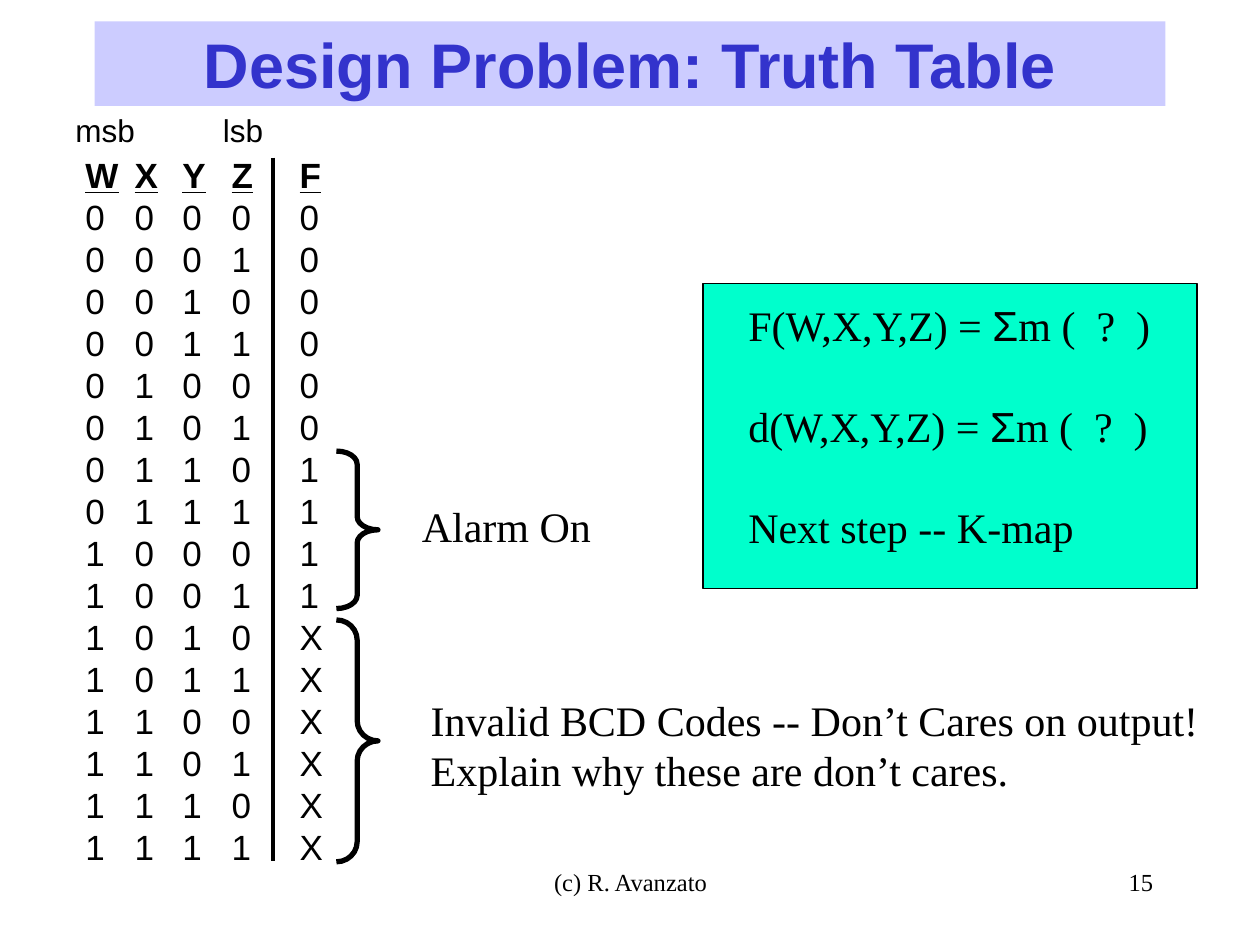
from lxml import etree
from pptx import Presentation
from pptx.dml.color import RGBColor
from pptx.enum import shapes, text
from pptx.oxml import ns
from pptx.util import Inches, Pt

BLACK = RGBColor(0x00, 0x00, 0x00)
BLUE = RGBColor(0x33, 0x33, 0xCC)
LAVENDER = RGBColor(0xCC, 0xCC, 0xFF)
AQUA = RGBColor(0x00, 0xFF, 0xCC)
SANS, SERIF = "Arial", "Times New Roman"
LEFT, CENTER, RIGHT = (text.PP_ALIGN.LEFT, text.PP_ALIGN.CENTER,
                       text.PP_ALIGN.RIGHT)

TITLE = "Design Problem: Truth Table"
VARIABLES = "WXYZ"
OUTPUTS = "0000001111XXXXXX"  # F for codes 0 to 15
COLUMN_STOPS = [0.39, 0.77, 1.16, 1.7]
TABLE_BOX = (0.58, 1.17, 2.16, 5.77)

# box, size, font, alignment, lines
LABELS = [
    ((3.42, 6.83, 3.17, 0.5), 14, SERIF, CENTER, ["(c) R. Avanzato"]),
    ((7.17, 6.83, 2.08, 0.5), 14, SERIF, RIGHT, ["15"]),
    ((0.5, 0.83, 0.67, 0.4), 18, SANS, LEFT, ["msb"]),
    ((1.67, 0.83, 0.52, 0.4), 18, SANS, LEFT, ["lsb"]),
    ((3.25, 3.92, 1.54, 0.5), 24, SERIF, LEFT, ["Alarm On"]),
    ((3.32, 5.46, 6.3, 0.9), 24, SERIF, LEFT,
     ["Invalid BCD Codes -- Don’t Cares on output!",
      "Explain why these are don’t cares."]),
]
EQUATIONS = [
    [("F(W,X,Y,Z) = ", SERIF), ("Σ", SANS), ("m (  ?  )", SERIF)],
    [("d(W,X,Y,Z) = ", SERIF), ("Σ", SANS), ("m (  ?  )", SERIF)],
    [("Next step -- K-map", SERIF)],
]
EQUATION_PANEL = (5.58, 2.25, 3.92, 2.42)
EQUATION_BOX = (5.84, 2.33, 3.45, 2.1)
BRACES = [(3.58, 1.25), (4.92, 1.92)]  # top, height
BRACE_LEFT, BRACE_WIDTH = 2.67, 0.33


def inches(box):
    return [Inches(v) for v in box]


def add_run(paragraph, words, size, font, color=BLACK, bold=False):
    run = paragraph.add_run()
    run.text = words
    run.font.size, run.font.name, run.font.bold = Pt(size), font, bold
    run.font.color.rgb = color
    return run


def add_text(slide, box, size, lines, align=LEFT, gap=0):
    """Add a text box; each line is a list of (words, font) runs."""
    frame = slide.shapes.add_textbox(*inches(box)).text_frame
    frame.word_wrap = False
    for i, line in enumerate(lines):
        paragraph = frame.add_paragraph() if i else frame.paragraphs[0]
        paragraph.alignment = align
        paragraph.line_spacing = Pt(1.2 * size)
        paragraph.space_before = Pt(gap if i else 0)
        for words, font in line:
            add_run(paragraph, words, size, font)
    return frame


def add_title(slide):
    title = slide.shapes.title
    title.left, title.top, title.width, title.height = inches(
        (0.75, 0.17, 8.5, 0.67))
    title.fill.solid()
    title.fill.fore_color.rgb = LAVENDER
    title.text_frame.vertical_anchor = text.MSO_ANCHOR.MIDDLE
    paragraph = title.text_frame.paragraphs[0]
    paragraph.alignment = CENTER
    add_run(paragraph, TITLE, 36, SANS, BLUE, True)


def add_truth_table(slide):
    rows = [[*VARIABLES, "F"]]
    rows += [[*f"{code:04b}", f] for code, f in enumerate(OUTPUTS)]
    frame = add_text(slide, TABLE_BOX, 20,
                     [[("\t".join(row), SANS)] for row in rows])
    for paragraph in frame.paragraphs:
        stops = etree.SubElement(paragraph._p.get_or_add_pPr(),
                                 ns.qn("a:tabLst"))
        for stop in COLUMN_STOPS:
            etree.SubElement(stops, ns.qn("a:tab"),
                             pos=str(Inches(stop)), algn="l")
    header = frame.paragraphs[0].runs[0].font
    header.bold = header.underline = True

    divider = slide.shapes.add_connector(
        shapes.MSO_CONNECTOR.STRAIGHT, *inches((2.17, 1.25, 2.17, 6.83)))
    divider.line.color.rgb = BLACK
    divider.line.width = Pt(2.25)
    etree.SubElement(divider._element.spPr, ns.qn("a:effectLst"))


def add_outlined(slide, kind, box, width):
    shape = slide.shapes.add_shape(kind, *inches(box))
    shape.shadow.inherit = False
    shape.line.color.rgb = BLACK
    shape.line.width = Pt(width)
    return shape


def main():
    prs = Presentation()
    prs.slide_width, prs.slide_height = Inches(10), Inches(7.5)
    slide = prs.slides.add_slide(prs.slide_layouts[5])

    add_title(slide)
    panel = add_outlined(slide, shapes.MSO_SHAPE.RECTANGLE,
                         EQUATION_PANEL, 0.75)
    panel.fill.solid()
    panel.fill.fore_color.rgb = AQUA
    add_text(slide, EQUATION_BOX, 24, EQUATIONS, gap=28.8)

    add_truth_table(slide)
    for top, height in BRACES:
        brace = add_outlined(slide, shapes.MSO_SHAPE.RIGHT_BRACE,
                             (BRACE_LEFT, top, BRACE_WIDTH, height), 3)
        brace.fill.background()
        brace.adjustments[0] = height / 12 / BRACE_WIDTH

    for box, size, font, align, lines in LABELS:
        add_text(slide, box, size, [[(line, font)] for line in lines], align)

    prs.save("out.pptx")


if __name__ == "__main__":
    main()
